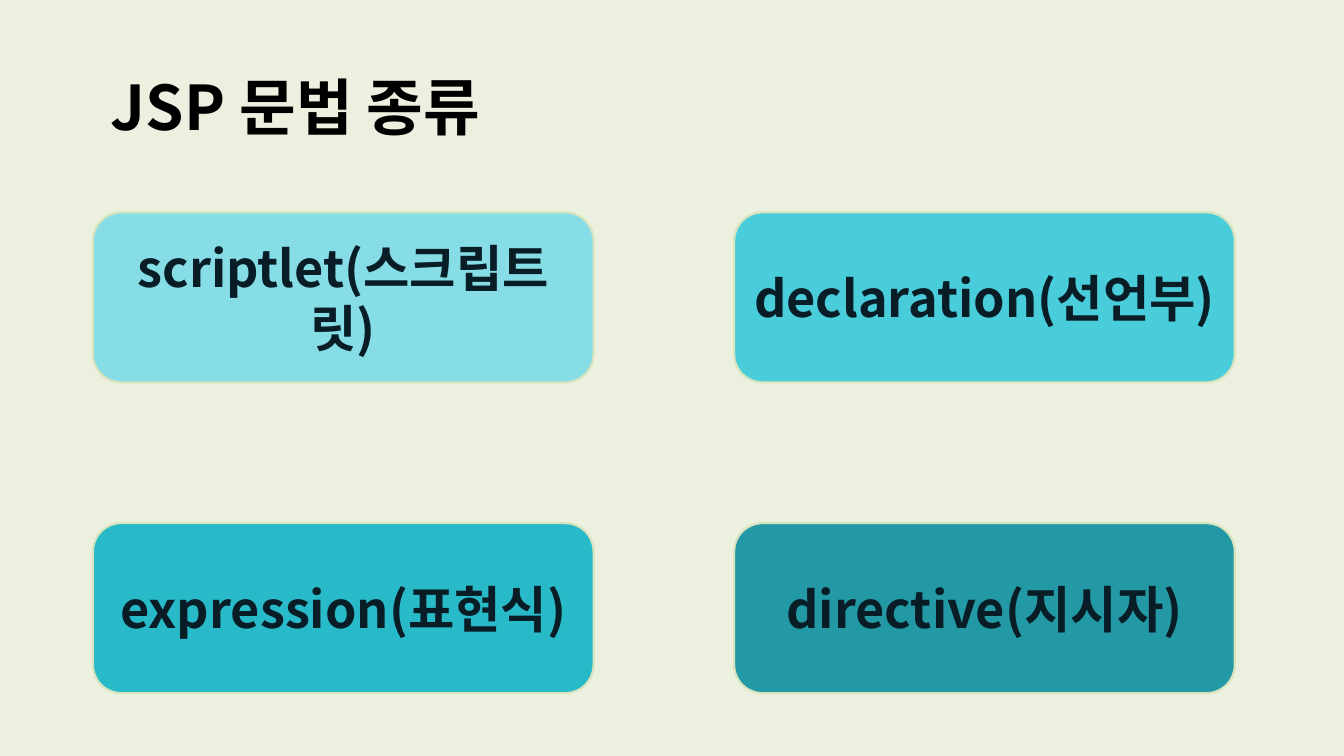
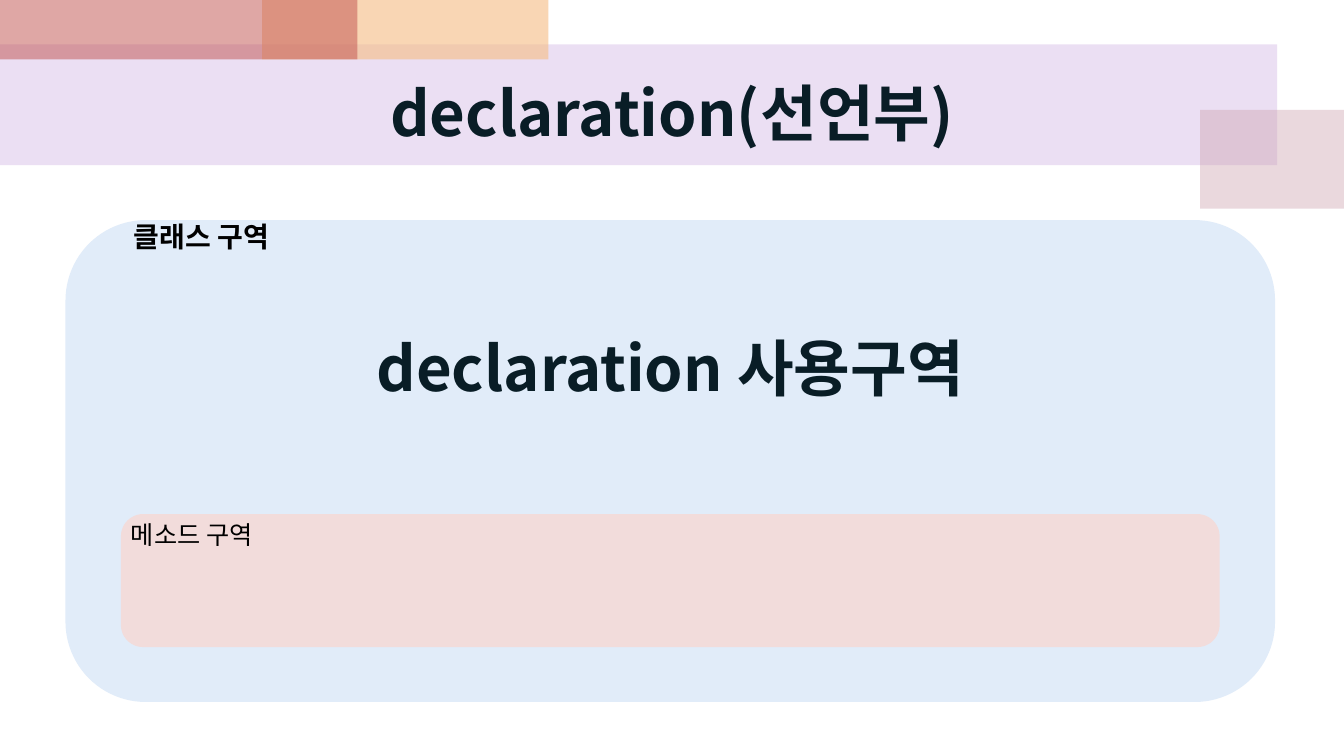
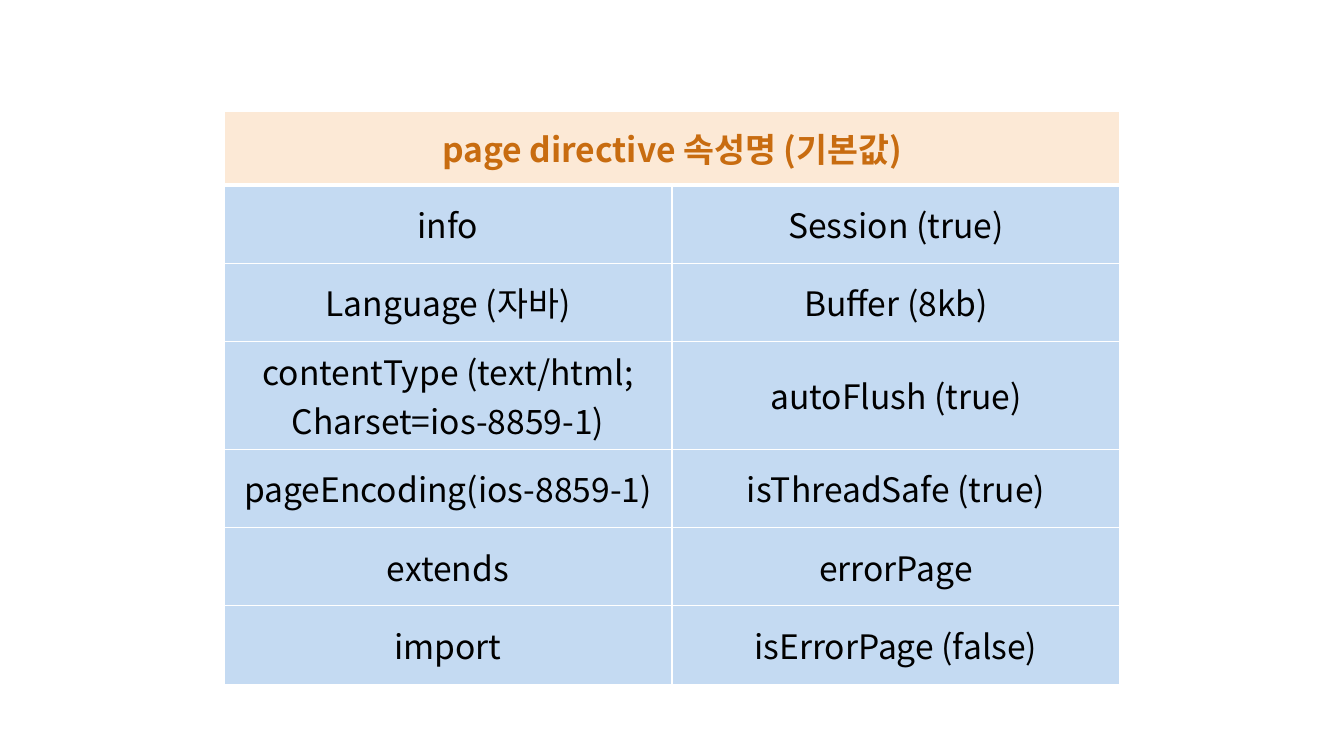
from dataclasses import dataclass
from typing import Any, Optional

from lxml.etree import SubElement
from pptx import Presentation
from pptx.dml.color import RGBColor
from pptx.enum.shapes import MSO_SHAPE
from pptx.enum.text import MSO_ANCHOR, MSO_AUTO_SIZE, PP_ALIGN
from pptx.oxml.ns import qn
from pptx.util import Pt

FONT = "Noto Sans CJK KR"
COLORS = {
    "white": "FFFFFF", "black": "000000", "ink": "091D26",
    "cream": "EBF1DE", "card_line": "D7E4BD",
    "scriptlet": "86DDE6", "declaration": "49CDDB",
    "expression": "29BAC9", "directive": "2399A5",
    "lilac": "BF98D8", "mauve": "CC9EAC", "apricot": "F5BC83", "brick": "C0504D",
    "class_area": "E1ECF9", "method_area": "F2DCDB",
    "header_text": "C86C10", "header": "FCE9D6", "cell": "C4DAF2",
}
FRAME_FORMAT = {"word_wrap": True, "auto_size": MSO_AUTO_SIZE.NONE}
TITLE_ONLY, BLANK = 5, 6


@dataclass(frozen=True)
class Box:
    left: float
    top: float
    width: float
    height: float

    def lengths(self) -> tuple:
        return Pt(self.left), Pt(self.top), Pt(self.width), Pt(self.height)


@dataclass(frozen=True)
class TextStyle:
    size: int
    color: str = "ink"
    bold: bool = True
    align: Any = PP_ALIGN.CENTER
    anchor: Any = MSO_ANCHOR.MIDDLE
    line_height: Optional[float] = None


@dataclass(frozen=True)
class Panel:
    box: Box
    color: str
    opacity: int = 100
    preset: Any = MSO_SHAPE.RECTANGLE
    line: Optional[str] = None


HEADING = TextStyle(44)
PAGE_TITLE = TextStyle(44, "black", align=PP_ALIGN.LEFT, anchor=MSO_ANCHOR.TOP, line_height=53)
CARD = TextStyle(36, line_height=43)
CLASS_LABEL = TextStyle(20, "black", align=PP_ALIGN.LEFT, anchor=MSO_ANCHOR.TOP)
METHOD_LABEL = TextStyle(18, "black", False, PP_ALIGN.LEFT, MSO_ANCHOR.TOP)
TABLE_HEADER = TextStyle(24, "header_text")
TABLE_CELL = TextStyle(24, "black", False)

CARDS = [
    ("scriptlet", "스크립트릿"), ("declaration", "선언부"),
    ("expression", "표현식"), ("directive", "지시자"),
]
BANDS = [
    Panel(Box(0, 31.7, 912.3, 86.4), "lilac", 30),
    Panel(Box(857.2, 78.4, 102.8, 70.6), "mauve", 40),
    Panel(Box(187.2, 0, 204.5, 42.4), "apricot", 60),
    Panel(Box(0, 0, 255.4, 42.4), "brick", 50),
]
ATTRIBUTES = [
    ("info", "Session (true)"),
    ("Language (자바)", "Buffer (8kb)"),
    ("contentType (text/html;\nCharset=ios-8859-1)", "autoFlush (true)"),
    ("pageEncoding(ios-8859-1)", "isThreadSafe (true)"),
    ("extends", "errorPage"),
    ("import", "isErrorPage (false)"),
]


def rgb(color: str) -> RGBColor:
    return RGBColor.from_string(COLORS[color])


def apply_format(target: Any, values: dict) -> None:
    for name, value in values.items():
        setattr(target, name, value)


def write(frame: Any, text: str, style: TextStyle) -> None:
    frame.text = text
    for paragraph in frame.paragraphs:
        paragraph.alignment = style.align
        if style.line_height:
            paragraph.line_spacing = Pt(style.line_height)
        for run in paragraph.runs:
            apply_format(run.font, {"name": FONT, "size": Pt(style.size), "bold": style.bold})
            run.font.color.rgb = rgb(style.color)
            SubElement(run.font._element, qn("a:ea"), typeface=FONT)


def write_shape(shape: Any, text: str, style: TextStyle) -> None:
    apply_format(shape.text_frame, FRAME_FORMAT | {"vertical_anchor": style.anchor})
    write(shape.text_frame, text, style)


def add_panel(slide: Any, panel: Panel) -> Any:
    shape = slide.shapes.add_shape(panel.preset, *panel.box.lengths())
    shape.shadow.inherit = False
    shape.fill.solid()
    shape.fill.fore_color.rgb = rgb(panel.color)
    if panel.opacity < 100:
        color = shape.fill._xPr.find(qn("a:solidFill"))[0]
        SubElement(color, qn("a:alpha"), val=str(panel.opacity * 1000))
    if panel.line:
        shape.line.color.rgb = rgb(panel.line)
        shape.line.width = Pt(1.5)
    else:
        shape.line.fill.background()
    return shape


def add_text(slide: Any, box: Box, text: str, style: TextStyle) -> None:
    write_shape(slide.shapes.add_textbox(*box.lengths()), text, style)


def set_title(slide: Any, box: Box, text: str, style: TextStyle) -> None:
    """Fill the title placeholder and bring it in front of what is drawn so far."""
    title = slide.shapes.title
    apply_format(title, dict(zip(("left", "top", "width", "height"), box.lengths())))
    write_shape(title, text, style)
    title.element.getparent().append(title.element)


def add_slide(presentation: Any, layout: int, background: str = "white") -> Any:
    slide = presentation.slides.add_slide(presentation.slide_layouts[layout])
    slide.background.fill.solid()
    slide.background.fill.fore_color.rgb = rgb(background)
    return slide


def format_cell(cell: Any, text: str, style: TextStyle, fill: str, top: int, bottom: int) -> None:
    write(cell.text_frame, text, style)
    cell.vertical_anchor = MSO_ANCHOR.MIDDLE
    properties = cell._tc.get_or_add_tcPr()
    for side, width in (("L", 1), ("R", 1), ("T", top), ("B", bottom)):
        border = SubElement(properties, qn(f"a:ln{side}"), w=str(Pt(width)))
        border_fill = SubElement(border, qn("a:solidFill"))
        SubElement(border_fill, qn("a:srgbClr"), val=COLORS["white"])
    cell.fill.solid()
    cell.fill.fore_color.rgb = rgb(fill)


def build_syntax_slide(presentation: Any) -> None:
    slide = add_slide(presentation, TITLE_ONLY, "cream")
    for index, (name, korean) in enumerate(CARDS):
        row, column = divmod(index, 2)
        box = Box(66.4 + 458 * column, 151.7 + 222 * row, 357.6, 121.4)
        panel = Panel(box, name, preset=MSO_SHAPE.ROUNDED_RECTANGLE, line="card_line")
        write_shape(add_panel(slide, panel), f"{name}({korean})", CARD)
    set_title(slide, Box(72, 45.4, 280, 60.6), "JSP 문법 종류", PAGE_TITLE)


def build_declaration_slide(presentation: Any) -> None:
    slide = add_slide(presentation, TITLE_ONLY)
    for band in BANDS:
        add_panel(slide, band)
    set_title(slide, Box(48, 42.4, 864, 75.6), "declaration(선언부)", HEADING)
    rounded = MSO_SHAPE.ROUNDED_RECTANGLE
    add_panel(slide, Panel(Box(46.8, 157.2, 864, 344.2), "class_area", preset=rounded))
    add_text(slide, Box(88.6, 153.4, 120.2, 31.7), "클래스 구역", CLASS_LABEL)
    add_panel(slide, Panel(Box(86.4, 367.2, 784.8, 95), "method_area", preset=rounded))
    add_text(slide, Box(86.4, 367.2, 111.6, 28.8), "메소드 구역", METHOD_LABEL)
    add_text(slide, Box(46.8, 224, 864, 75.6), "declaration 사용구역", HEADING)


def build_attribute_slide(presentation: Any) -> None:
    slide = add_slide(presentation, BLANK)
    box = Box(160, 79.4, 640, 388.6)
    table = slide.shapes.add_table(len(ATTRIBUTES) + 1, 2, *box.lengths()).table
    for column in table.columns:
        column.width = Pt(box.width / 2)
    for index, row in enumerate(table.rows):
        row.height = Pt(56 if index else 52.6)
    table.cell(0, 0).merge(table.cell(0, 1))
    header = ("page directive 속성명 (기본값)", "")
    for row, texts in enumerate([header, *ATTRIBUTES]):
        style, fill = (TABLE_CELL, "cell") if row else (TABLE_HEADER, "header")
        top, bottom = 3 if row == 1 else 1, 1 if row else 3
        for column, text in enumerate(texts):
            format_cell(table.cell(row, column), text, style, fill, top, bottom)


def main() -> None:
    presentation = Presentation()
    apply_format(presentation, {"slide_width": Pt(960), "slide_height": Pt(540)})
    build_syntax_slide(presentation)
    build_declaration_slide(presentation)
    build_attribute_slide(presentation)
    presentation.save("out.pptx")


if __name__ == "__main__":
    main()
